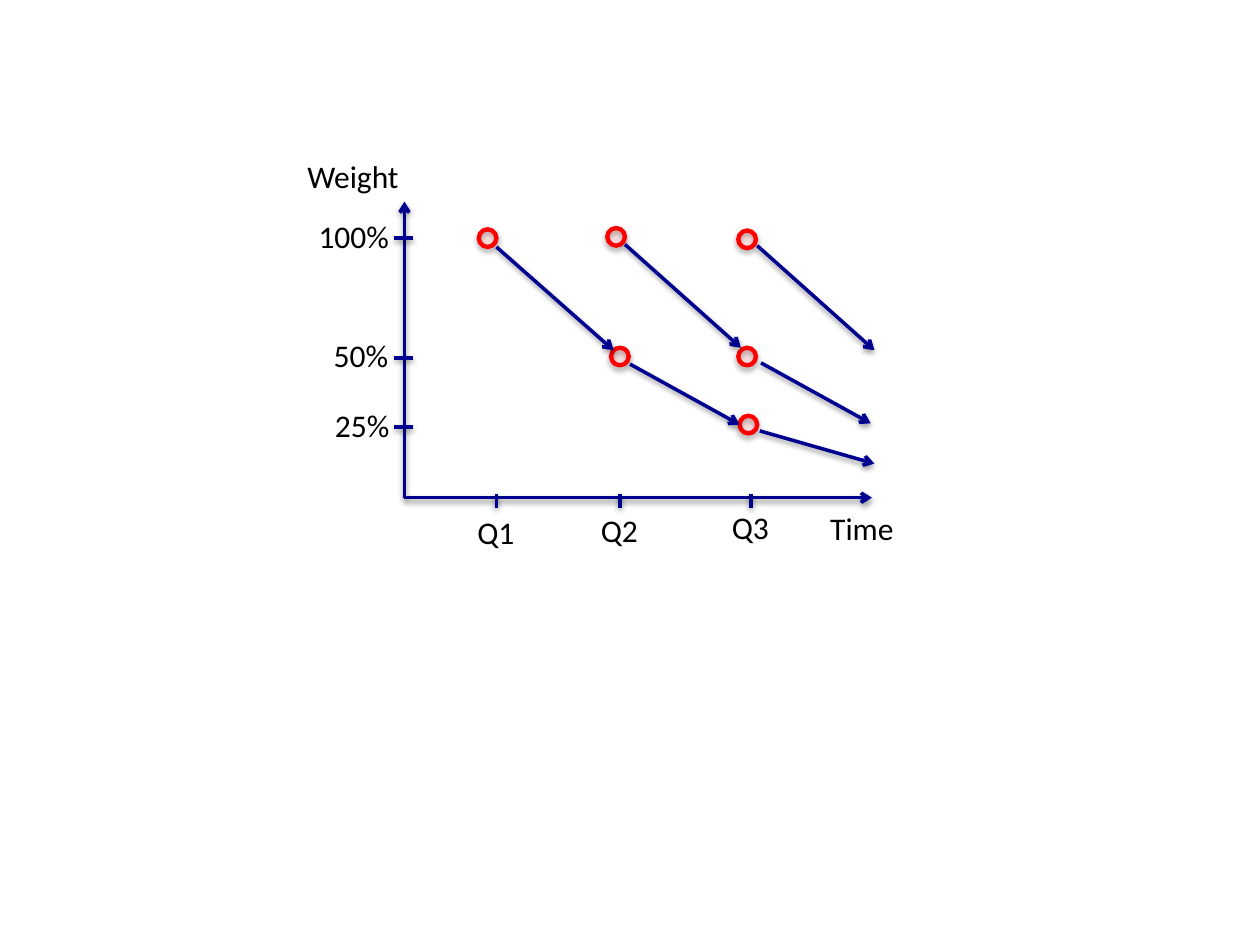
"""Build a slide showing how the weight of each quarter decays over time."""
import pptx
import pptx.util
import pptx.dml.color
import pptx.enum.shapes
import pptx.enum.text
import pptx.oxml
import pptx.oxml.ns

Inches = pptx.util.Inches
Pt = pptx.util.Pt
NAVY = pptx.dml.color.RGBColor(0x00, 0x00, 0x90)
RED = pptx.dml.color.RGBColor(0xFF, 0x00, 0x00)
BLACK = pptx.dml.color.RGBColor(0x00, 0x00, 0x00)
NS = pptx.oxml.ns.nsdecls("a")

prs = pptx.Presentation()
prs.slide_width, prs.slide_height = Inches(10), Inches(7.5)
s = prs.slides.add_slide(prs.slide_layouts[6])


def add_line(x1, y1, x2, y2, arrow=False):
    line = s.shapes.add_connector(
        pptx.enum.shapes.MSO_CONNECTOR.STRAIGHT,
        Inches(x1), Inches(y1), Inches(x2), Inches(y2))
    line.line.color.rgb = NAVY
    line.line.width = Pt(2)
    if arrow:
        line.line._get_or_add_ln().append(
            pptx.oxml.parse_xml(f'<a:tailEnd {NS} type="arrow"/>'))


def add_label(text, x, y, w):
    tb = s.shapes.add_textbox(Inches(x), Inches(y), Inches(w), Inches(0.4))
    tf = tb.text_frame
    tf.word_wrap = False
    tf.auto_size = pptx.enum.text.MSO_AUTO_SIZE.SHAPE_TO_FIT_TEXT
    tf.text = text
    font = tf.paragraphs[0].runs[0].font
    font.name, font.size = "Calibri", Pt(18)
    font.color.rgb = BLACK


origin_x, origin_y = 3.21, 3.95
add_line(origin_x, origin_y, origin_x, 1.6, arrow=True)
add_line(origin_x, origin_y, 6.92, origin_y, arrow=True)

points = [(3.8, 1.82), (4.82, 1.81), (5.86, 1.83),
          (4.85, 2.76), (5.86, 2.76), (5.87, 3.3)]
for x, y in points:
    sp = s.shapes.add_shape(pptx.enum.shapes.MSO_SHAPE.OVAL,
                            Inches(x), Inches(y), Inches(0.14), Inches(0.14))
    sp.fill.solid()
    sp.fill.fore_color.rgb = RED
    color = sp.fill._xPr.find(".//" + pptx.oxml.ns.qn("a:srgbClr"))
    color.append(pptx.oxml.parse_xml(f'<a:alpha {NS} val="10000"/>'))
    sp.line.color.rgb = RED
    sp.line.width = Pt(2.5)

decays = [(3.94, 1.96, 4.87, 2.78), (4.96, 1.94, 5.88, 2.76),
          (6.01, 1.95, 6.94, 2.78), (5, 2.89, 5.87, 3.37),
          (6.04, 2.88, 6.91, 3.36), (6.03, 3.42, 6.94, 3.68)]
for decay in decays:
    add_line(*decay, arrow=True)

weights = [("100%", 1.89, 2.43, 0.77), ("50%", 2.84, 2.55, 0.64),
           ("25%", 3.39, 2.56, 0.64)]
for text, y, x, w in weights:
    add_line(3.28, y, 3.13, y)
    add_label(text, x, y - 0.22, w)

quarters = [("Q1", 3.94, 4.02), ("Q2", 4.92, 4.01), ("Q3", 5.96, 3.98)]
for text, x, y in quarters:
    add_line(x, 3.92, x, 4.03)
    add_label(text, x - 0.25, y, 0.5)

add_label("Weight", 2.34, 1.2, 0.95)
add_label("Time", 6.49, 3.99, 0.71)

prs.save("out.pptx")
